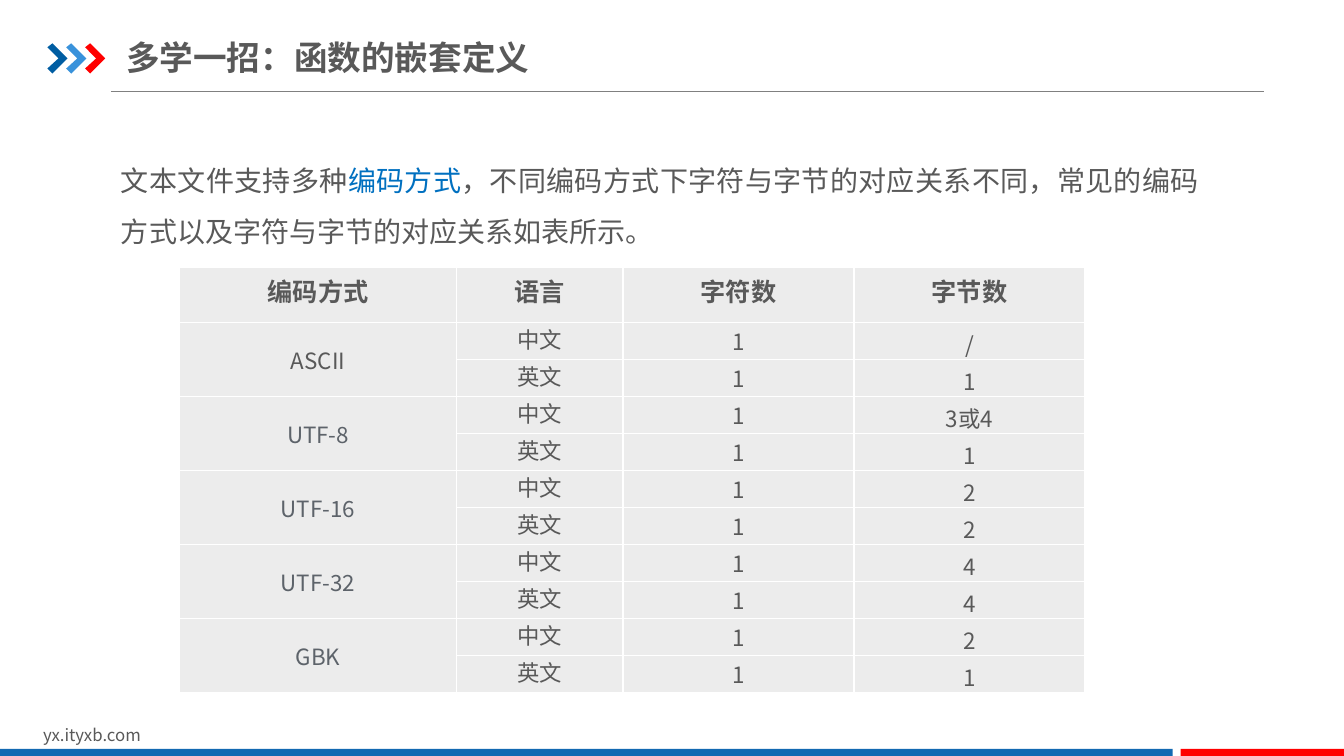
from lxml.etree import SubElement
from pptx import Presentation
from pptx.dml.color import RGBColor
from pptx.enum.shapes import MSO_CONNECTOR, MSO_SHAPE
from pptx.enum.text import MSO_ANCHOR, MSO_AUTO_SIZE, PP_ALIGN
from pptx.oxml import parse_xml
from pptx.oxml.ns import nsdecls, qn
from pptx.util import Inches, Pt

FONT = "Noto Sans CJK SC"
TEXT = RGBColor(0x59, 0x59, 0x59)
SLATE = RGBColor(0x5D, 0x63, 0x6A)
RULE_GRAY = RGBColor(0x80, 0x80, 0x80)
CELL_GRAY = RGBColor(0xEC, 0xEC, 0xEC)
KEYWORD_BLUE = RGBColor(0x00, 0x70, 0xC0)
NAVY = RGBColor(0x00, 0x5D, 0xA2)
SKY = RGBColor(0x39, 0x92, 0xDB)
BAR_BLUE = RGBColor(0x13, 0x69, 0xB2)
RED = RGBColor(0xFF, 0x00, 0x00)


def add_run(paragraph, text, size, color=TEXT, bold=False):
    run = paragraph.add_run()
    run.text = text
    run.font.name = FONT
    run.font.size = Pt(size)
    run.font.bold = bold
    run.font.color.rgb = color
    SubElement(run.font._element, qn("a:ea"), typeface=FONT)


def set_margins(box, sides, top, bottom):
    box.margin_left = box.margin_right = Inches(sides)
    box.margin_top, box.margin_bottom = Inches(top), Inches(bottom)


prs = Presentation()
prs.slide_width, prs.slide_height = Inches(13.33), Inches(7.5)
slide = prs.slides.add_slide(prs.slide_layouts[5])
shapes = slide.shapes

# Rule under the title
rule = shapes.add_connector(MSO_CONNECTOR.STRAIGHT, Inches(1.1), Inches(0.91),
                            Inches(12.54), Inches(0.91))
rule.line.color.rgb = RULE_GRAY
rule.line.width = Pt(0.75)
SubElement(rule._element.spPr, qn("a:effectLst"))

# Three chevrons in front of the title
CHEVRON = [(0, 0.04), (0.05, 0), (0.2, 0.15), (0.05, 0.3), (0, 0.25), (0.11, 0.15)]
for index, color in enumerate((NAVY, SKY, RED)):
    left = 0.47 + 0.187 * index
    points = [(Inches(left + x), Inches(0.43 + y)) for x, y in CHEVRON]
    outline = shapes.build_freeform(*points[0])
    outline.add_line_segments(points[1:], close=True)
    chevron = outline.convert_to_shape()
    chevron.shadow.inherit = False
    chevron.fill.solid()
    chevron.fill.fore_color.rgb = color
    chevron.line.fill.background()

# Footer: address and two bars
address = shapes.add_textbox(Inches(0.33), Inches(7.14), Inches(3.18), Inches(0.3)).text_frame
address.word_wrap = True
address.auto_size = MSO_AUTO_SIZE.SHAPE_TO_FIT_TEXT
add_run(address.paragraphs[0], "yx.ityxb.com", 12)

for left, width, color in ((0, 11.63, BAR_BLUE), (11.71, 1.63, RED)):
    bar = shapes.add_shape(MSO_SHAPE.RECTANGLE, Inches(left), Inches(7.43),
                           Inches(width), Inches(0.09))
    bar.shadow.inherit = False
    bar.fill.solid()
    bar.fill.fore_color.rgb = color
    bar.line.fill.background()

# Title
title = shapes.title
title.left, title.top = Inches(1.25), Inches(0.29)
title.width, title.height = Inches(5.02), Inches(0.55)
heading = title.text_frame
heading.auto_size = MSO_AUTO_SIZE.NONE
heading.vertical_anchor = MSO_ANCHOR.MIDDLE
set_margins(heading, 0, 0.07, 0.07)
heading.paragraphs[0].alignment = PP_ALIGN.LEFT
add_run(heading.paragraphs[0], "多学一招：函数的嵌套定义", 24, bold=True)

# Introduction
intro = shapes.add_textbox(Inches(1.07), Inches(1.39), Inches(10.95), Inches(1.1)).text_frame
intro.word_wrap = True
set_margins(intro, 0.13, 0.07, 0.07)
sentence = intro.paragraphs[0]
sentence.alignment = PP_ALIGN.JUSTIFY
sentence.line_spacing = 1.5
add_run(sentence, "文本文件支持多种", 20)
add_run(sentence, "编码方式", 20, KEYWORD_BLUE)
add_run(sentence, "，不同编码方式下字符与字节的对应关系不同，"
                  "常见的编码方式以及字符与字节的对应关系如表所示。", 20)

# Table: each encoding spans a Chinese and an English row
HEADERS = ("编码方式", "语言", "字符数", "字节数")
BYTES = {"ASCII": ("/", "1"), "UTF-8": ("3或4", "1"), "UTF-16": ("2", "2"),
         "UTF-32": ("4", "4"), "GBK": ("2", "1")}
rows = [HEADERS]
for encoding, (chinese, english) in BYTES.items():
    rows += [(encoding, "中文", "1", chinese), ("", "英文", "1", english)]

HEADER_HEIGHT, TABLE_HEIGHT = 0.55, 4.22
table = shapes.add_table(len(rows), len(HEADERS), Inches(1.78), Inches(2.65),
                         Inches(8.98), Inches(TABLE_HEIGHT)).table
table.first_row = table.horz_banding = False
for column, width in zip(table.columns, (2.75, 1.65, 2.29, 2.29)):
    column.width = Inches(width)
for row in table.rows:
    row.height = Inches((TABLE_HEIGHT - HEADER_HEIGHT) / (len(rows) - 1))
table.rows[0].height = Inches(HEADER_HEIGHT)
for top_row in range(1, len(rows), 2):
    table.cell(top_row, 0).merge(table.cell(top_row + 1, 0))

for r, values in enumerate(rows):
    for c, value in enumerate(values):
        cell = table.cell(r, c)
        if r == 0:
            set_margins(cell, 0.1, 0.05, 0.05)
        elif c == 3:
            set_margins(cell, 0.1, 0.05, 0)
        else:
            set_margins(cell, 0.07, 0, 0)
        centred = r > 0 and c in (0, 2)
        cell.vertical_anchor = MSO_ANCHOR.MIDDLE if centred else MSO_ANCHOR.TOP
        for side in ("lnL", "lnR", "lnT", "lnB"):
            cell._tc.get_or_add_tcPr().append(parse_xml(
                f'<a:{side} {nsdecls("a")} w="{Pt(1)}"><a:solidFill>'
                f'<a:srgbClr val="FFFFFF"/></a:solidFill></a:{side}>'))
        cell.fill.solid()
        cell.fill.fore_color.rgb = CELL_GRAY
        if value:
            entry = cell.text_frame.paragraphs[0]
            entry.alignment = PP_ALIGN.CENTER
            add_run(entry, value, 16 if r else 18,
                    SLATE if c == 0 and r > 1 else TEXT, bold=r == 0)

prs.save("out.pptx")
